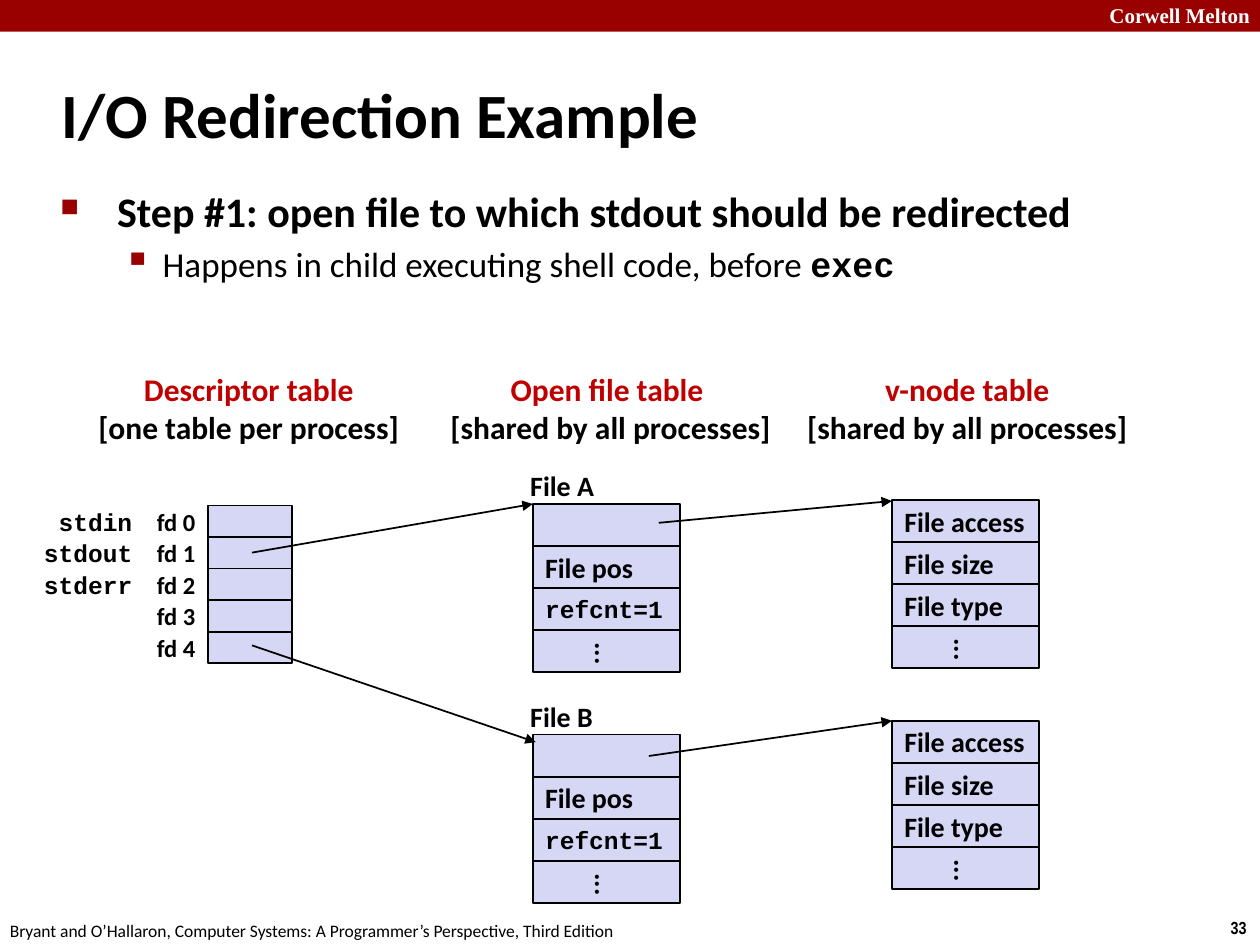
import pptx
import pptx.dml.color
import pptx.enum.shapes
import pptx.enum.text
import pptx.oxml
import pptx.oxml.ns
import pptx.util
from lxml import etree

Cm = pptx.util.Cm
Pt = pptx.util.Pt
RGBColor = pptx.dml.color.RGBColor
ALIGN = pptx.enum.text.PP_ALIGN
ANCHOR = pptx.enum.text.MSO_ANCHOR
RECTANGLE = pptx.enum.shapes.MSO_SHAPE.RECTANGLE
STRAIGHT = pptx.enum.shapes.MSO_CONNECTOR.STRAIGHT

BLACK = RGBColor(0x00, 0x00, 0x00)
WHITE = RGBColor(0xFF, 0xFF, 0xFF)
BANNER_RED = RGBColor(0x99, 0x00, 0x00)
HEADING_RED = RGBColor(0xC0, 0x00, 0x00)
LAVENDER = RGBColor(0xD6, 0xD6, 0xF5)
MONO = "Courier New"

# Boxes are (left, top, width, height) in centimetres.
DESCRIPTOR_BOX = (4.19, 10.19, 1.7, 3.18)
OPEN_FILE_BOXES = {"File A": (10.74, 10.16, 2.97, 3.39),
                   "File B": (10.74, 14.81, 2.97, 3.39)}
V_NODE_BOXES = [(17.98, 10.08, 2.97, 3.39), (17.98, 14.53, 2.97, 3.39)]
HEADINGS = [
    ("Descriptor table", "[one table per process]", (1.7, 7.32, 6.63, 1.8)),
    ("Open file table ", "[shared by all processes]", (8.79, 7.32, 7.04, 1.8)),
    ("v-node table", "[shared by all processes]", (15.98, 7.32, 7.04, 1.8)),
]
ARROWS = [  # start x, start y, end x, end y
    (5.08, 11.14, 10.74, 10.16),
    (5.08, 13.01, 10.8, 14.96),
    (13.28, 10.54, 17.98, 10.1),
    (13.08, 15.24, 17.98, 14.53),
]
ELLIPSIS = "..."


def write(paragraph, text, size=16, font="Calibri", color=BLACK, bold=True,
          align=ALIGN.LEFT):
    paragraph.alignment = align
    run = paragraph.add_run()
    run.text = text
    run.font.size = Pt(size)
    run.font.name = font
    run.font.bold = bold
    run.font.color.rgb = color


def add_text_box(slide, box, wrap=False, anchor=ANCHOR.MIDDLE):
    frame = slide.shapes.add_textbox(*map(Cm, box)).text_frame
    frame.word_wrap = wrap
    frame.vertical_anchor = anchor
    return frame


def add_label(slide, box, text, anchor=ANCHOR.MIDDLE, **text_format):
    frame = add_text_box(slide, box, anchor=anchor)
    write(frame.paragraphs[0], text, **text_format)


def add_rectangle(slide, box, fill, line=None):
    shape = slide.shapes.add_shape(RECTANGLE, *map(Cm, box))
    shape.shadow.inherit = False
    shape.fill.solid()
    shape.fill.fore_color.rgb = fill
    if line is None:
        shape.line.fill.background()
    else:
        shape.line.color.rgb = line
        shape.line.width = Pt(1)
    return shape


def split_rows(box, count):
    left, top, width, height = box
    row_height = height / count
    return [(left, top + index * row_height, width, row_height)
            for index in range(count)]


def add_cell_stack(slide, box, texts):
    """Stack equal cells; an ellipsis is turned to run downwards."""
    for row_box, text in zip(split_rows(box, len(texts)), texts):
        shape = add_rectangle(slide, row_box, LAVENDER, BLACK)
        if not text:
            continue
        frame = shape.text_frame
        frame.word_wrap = False
        frame.vertical_anchor = ANCHOR.MIDDLE
        if text == ELLIPSIS:
            frame._txBody.bodyPr.set("vert", "eaVert")
        if text.startswith("refcnt"):
            write(frame.paragraphs[0], text, size=14, font=MONO)
        else:
            write(frame.paragraphs[0], text)


def add_descriptor_table(slide, box):
    add_cell_stack(slide, box, [""] * 5)
    streams = ["stdin", "stdout", "stderr", "", ""]
    for index, (row_box, stream) in enumerate(zip(split_rows(box, 5), streams)):
        left, top, width, height = row_box
        add_label(slide, (left - width, top, width, height), f"fd {index}",
                  size=14, align=ALIGN.RIGHT)
        if stream:
            add_label(slide, (left - 3.56, top, 2.29, height), stream,
                      size=14, font=MONO, align=ALIGN.RIGHT)


def add_open_file_table(slide, box, name):
    left, top, _, _ = box
    add_cell_stack(slide, box, ["", "File pos", "refcnt=1", ELLIPSIS])
    add_label(slide, (left - 0.3, top - 0.84, 1.8, 0.94), name)


def add_v_node_table(slide, box):
    add_cell_stack(slide, box,
                   ["File access", "File size", "File type", ELLIPSIS])


def add_heading(slide, box, title, scope):
    frame = add_text_box(slide, box)
    write(frame.paragraphs[0], title, size=18, color=HEADING_RED,
          align=ALIGN.CENTER)
    write(frame.add_paragraph(), scope, size=18, align=ALIGN.CENTER)


def add_arrow(slide, start_x, start_y, end_x, end_y):
    arrow = slide.shapes.add_connector(
        STRAIGHT, Cm(start_x), Cm(start_y), Cm(end_x), Cm(end_y))
    arrow.line.color.rgb = BLACK
    arrow.line.width = Pt(1)
    qn = pptx.oxml.ns.qn
    etree.SubElement(arrow.line._get_or_add_ln(), qn("a:tailEnd"),
                     type="triangle")
    etree.SubElement(arrow._element.spPr, qn("a:effectLst"))


def set_bullet(paragraph, character, percent, margin, hanging, space):
    paragraph.space_before = Pt(space)
    properties = paragraph._p.get_or_add_pPr()
    properties.set("marL", str(Cm(margin)))
    properties.set("indent", str(-Cm(hanging)))
    qn = pptx.oxml.ns.qn
    bullet_color = etree.SubElement(properties, qn("a:buClr"))
    etree.SubElement(bullet_color, qn("a:srgbClr"), val=str(BANNER_RED))
    etree.SubElement(properties, qn("a:buSzPct"), val=str(percent * 1000))
    etree.SubElement(properties, qn("a:buChar"), char=character)


def add_banner_and_footer(slide):
    add_rectangle(slide, (0, 0, 25.4, 0.64), BANNER_RED)
    add_label(slide, (21.85, -0.08, 3.6, 0.76), "Corwell Melton", size=12,
              font="Times New Roman", color=WHITE, align=ALIGN.RIGHT)
    add_label(slide, (24.54, 18.36, 0.86, 0.69), "33", size=10,
              font="Arial Narrow", anchor=ANCHOR.TOP, align=ALIGN.CENTER)
    add_label(slide, (-0.05, 18.42, 12.9, 0.69),
              "Bryant and O’Hallaron, Computer Systems: "
              "A Programmer’s Perspective, Third Edition",
              size=10, bold=False, anchor=ANCHOR.TOP)


def set_title(slide, box, text):
    title = slide.shapes.title
    title.left, title.top, title.width, title.height = map(Cm, box)
    title.text_frame.vertical_anchor = ANCHOR.MIDDLE
    write(title.text_frame.paragraphs[0], text, size=36)


def add_step(slide, box):
    frame = add_text_box(slide, box, wrap=True, anchor=ANCHOR.TOP)
    step = frame.paragraphs[0]
    write(step, "Step #1: open file to which stdout should be redirected",
          size=24)
    set_bullet(step, "■", 60, margin=1.14, hanging=1.14, space=5)
    detail = frame.add_paragraph()
    write(detail, "Happens in child executing shell code, before ", size=20,
          bold=False)
    write(detail, "exec", size=20, font=MONO)
    set_bullet(detail, "▪", 110, margin=2.06, hanging=0.79, space=4)


def main():
    presentation = pptx.Presentation()
    presentation.slide_width, presentation.slide_height = Cm(25.4), Cm(19.05)
    slide = presentation.slides.add_slide(presentation.slide_layouts[5])
    add_banner_and_footer(slide)
    set_title(slide, (0.99, 1.22, 21.08, 2.11), "I/O Redirection Example")
    add_step(slide, (0.97, 3.61, 23.75, 2.74))
    for title, scope, box in HEADINGS:
        add_heading(slide, box, title, scope)
    add_descriptor_table(slide, DESCRIPTOR_BOX)
    for name, box in OPEN_FILE_BOXES.items():
        add_open_file_table(slide, box, name)
    for box in V_NODE_BOXES:
        add_v_node_table(slide, box)
    for arrow in ARROWS:
        add_arrow(slide, *arrow)
    presentation.save("out.pptx")


if __name__ == "__main__":
    main()
